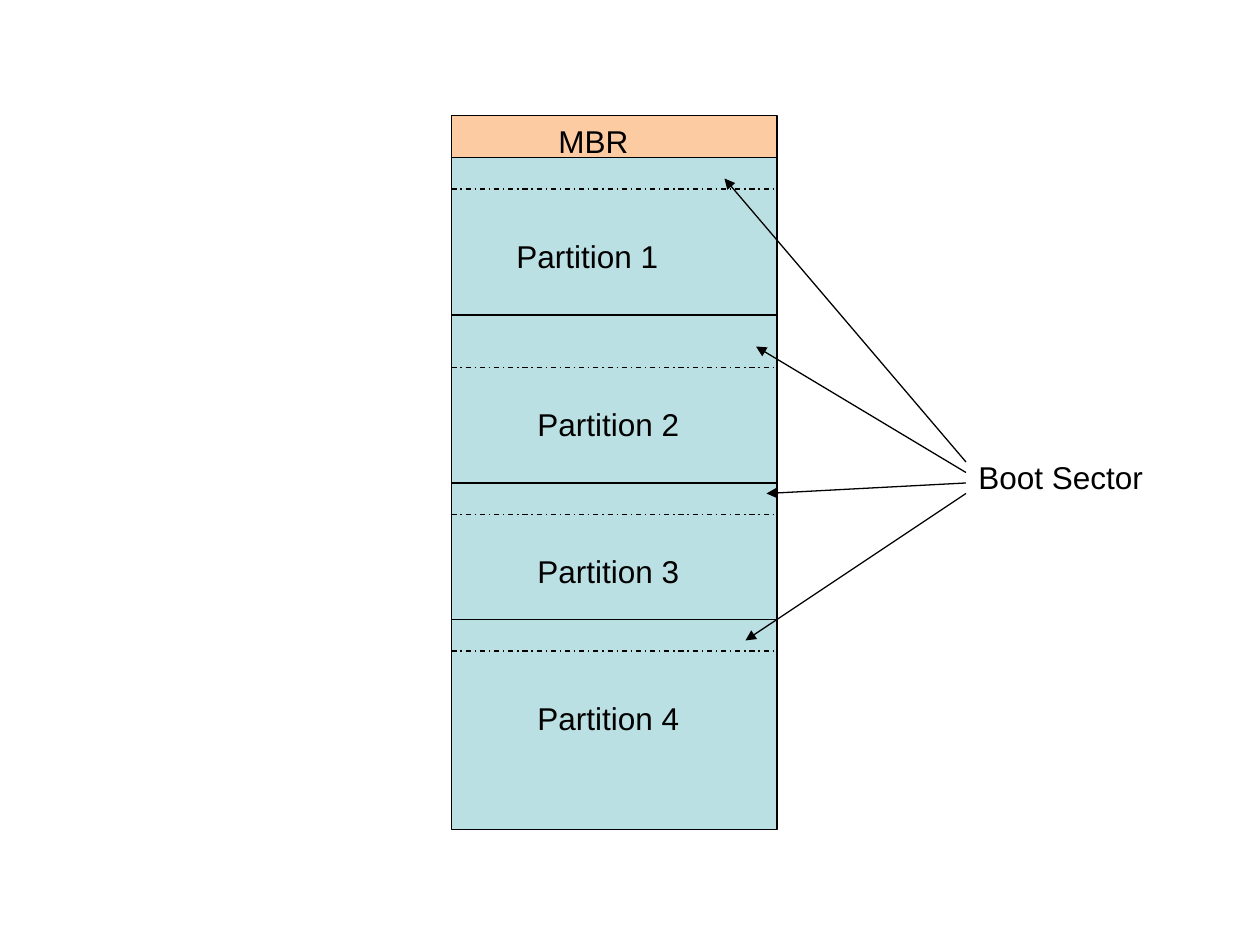
from lxml.etree import SubElement
from pptx import Presentation
from pptx.dml.color import RGBColor
from pptx.enum.dml import MSO_LINE
from pptx.enum.shapes import MSO_CONNECTOR, MSO_SHAPE
from pptx.enum.text import MSO_AUTO_SIZE
from pptx.oxml.ns import qn
from pptx.util import Inches, Pt

COLS, ROWS = 120, 90
WIDE, HIGH = Inches(10), Inches(7.5)
INK, BLUE, PEACH = "000000", "BBE0E3", "FDCBA1"

FRAME = {
    "word_wrap": True, "auto_size": MSO_AUTO_SIZE.SHAPE_TO_FIT_TEXT,
    "margin_left": Inches(0.1), "margin_right": Inches(0.1),
    "margin_top": Inches(0.05), "margin_bottom": Inches(0.05),
}
FONT = {"name": "Arial", "size": Pt(18)}

# Rows from the disk top: start, boot end; then label and arrow tip (col, row)
PARTS = [
    (0, 3, (5, 7), (26, 2)),
    (15, 20, (7, 23), (29, 18)),
    (31, 34, (7, 37), (30, 32)),
    (44, 47, (7, 51), (28, 46)),
]


def apply(item, values):
    for key, value in values.items():
        setattr(item, key, value)


def color(text):
    return RGBColor.from_string(text)


def spot(col, row):
    """Turn a grid point into slide lengths."""
    return round(WIDE * col / COLS), round(HIGH * row / ROWS)


def block(slide, box, fill):
    col, row, wide, high = box
    shape = slide.shapes.add_shape(
        MSO_SHAPE.RECTANGLE, *spot(col, row), *spot(wide, high))
    shape.shadow.inherit = False
    shape.fill.solid()
    shape.fill.fore_color.rgb = color(fill)
    shape.line.color.rgb = color(INK)
    shape.line.width = Pt(0.75)


def rule(slide, start, end, dash=None, arrow=False):
    line = slide.shapes.add_connector(
        MSO_CONNECTOR.STRAIGHT, *spot(*start), *spot(*end))
    line.line.color.rgb = color(INK)
    apply(line.line, {"width": Pt(0.75), "dash_style": dash})
    if arrow:
        SubElement(line.line._get_or_add_ln(), qn("a:tailEnd"), type="triangle")
    SubElement(line._element.spPr, qn("a:effectLst"))


def label(slide, text, col, row, wide):
    box = slide.shapes.add_textbox(*spot(col, row), *spot(wide, 4.8))
    apply(box.text_frame, FRAME)
    para = box.text_frame.paragraphs[0]
    para.space_before = Pt(11.2)
    run = para.add_run()
    run.text = text
    apply(run.font, FONT)
    run.font.color.rgb = color(INK)


def record(slide, box):
    """Place the master boot record above the partitions."""
    col, row, wide, high = box
    block(slide, box, PEACH)
    label(slide, "MBR", col + 9, row, 11)


def disk(slide, box):
    col, row, wide, high = box
    block(slide, box, BLUE)
    for num, (start, boot, (x, y), tip) in enumerate(PARTS, 1):
        if start:
            rule(slide, (col, row + start), (col + wide, row + start))
        rule(slide, (col, row + boot), (col + wide, row + boot),
             MSO_LINE.DASH_DOT)
        label(slide, f"Partition {num}", col + x, row + y, 18)


def sector(slide, box, area):
    """Place the caption in box and point its arrows into the disk area."""
    col, row, wide, high = box
    label(slide, "Boot Sector", col, row, wide)
    for step, (start, boot, place, (x, y)) in enumerate(PARTS, 1):
        rule(slide, (col, row + step), (area[0] + x, area[1] + y), arrow=True)


def main():
    deck = Presentation()
    apply(deck, {"slide_width": WIDE, "slide_height": HIGH})
    slide = deck.slides.add_slide(deck.slide_layouts[6])
    area = (43, 15, 31, 64)
    disk(slide, area)
    record(slide, (43, 11, 31, 4))
    sector(slide, (92, 43, 19, 4.8), area)
    deck.save("out.pptx")


if __name__ == "__main__":
    main()
